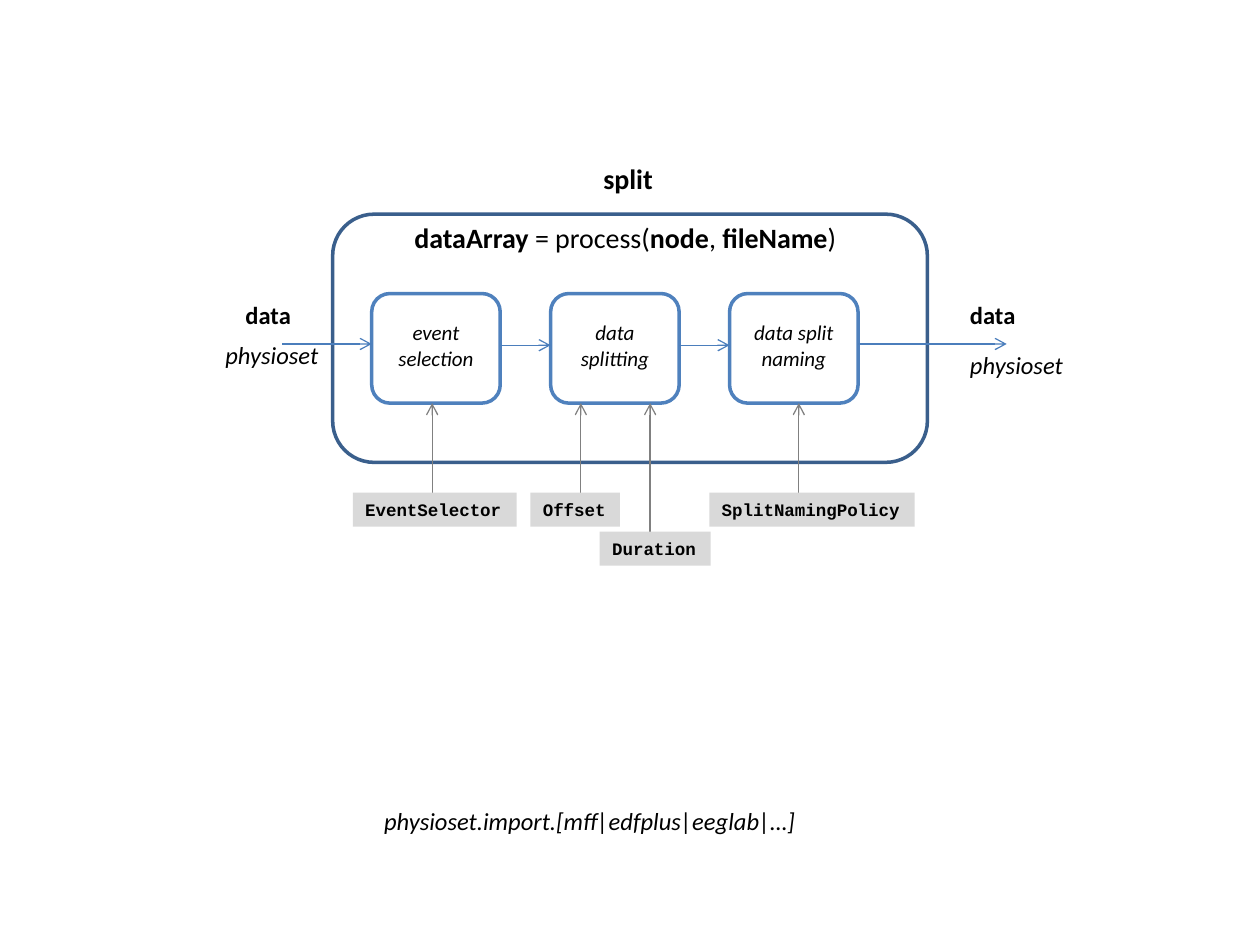
import pptx
import pptx.util
import pptx.dml.color
import pptx.enum.shapes
import pptx.enum.text
import pptx.oxml
import pptx.oxml.ns

COLUMNS, ROWS = 100, 75
CELL = pptx.util.Inches(0.1)
COLORS = {"text": "000000", "frame": "3A5F8C", "stage": "4F81BD", "flow": "4B7EBC",
          "input": "808080", "option": "D9D9D9", "white": "FFFFFF"}
SHAPES = pptx.enum.shapes.MSO_SHAPE
ALIGN = pptx.enum.text.PP_ALIGN
ANCHOR = pptx.enum.text.MSO_ANCHOR

STAGE_LEFT, STAGE_STEP, STAGE_TOP = 29.5, 14.2, 23.3
STAGE_W, STAGE_H = 10.2, 8.7
STAGE_BOTTOM = STAGE_TOP + STAGE_H
STAGES = ["event selection", "data splitting", "data split naming"]
OPTIONS = [("EventSelector", 28, 39.1, 13, 34.3),
           ("Offset", 42.1, 39.1, 7.1, 46.1),
           ("Duration", 47.6, 42.2, 8.8, 51.6),
           ("SplitNamingPolicy", 56.3, 39.1, 16.3, 63.4)]


def grid(*cells):
    return [round(c * CELL) for c in cells]


def rgb(name):
    return pptx.dml.color.RGBColor.from_string(COLORS[name])


def write(sp, parts, size=14, font="Calibri", italic=False, align=ALIGN.LEFT,
          anchor=ANCHOR.TOP, wrap=False):
    tf = sp.text_frame
    tf.word_wrap = wrap
    tf.vertical_anchor = anchor
    p = tf.paragraphs[0]
    p.alignment = align
    for text, bold in parts:
        r = p.add_run()
        r.text = text
        r.font.name, r.font.size = font, pptx.util.Pt(size)
        r.font.bold, r.font.italic = bold, italic
        r.font.color.rgb = rgb("text")


def add_label(s, text, x, y, w, h=3.4, bold=False, **style):
    sp = s.shapes.add_textbox(*grid(x, y, w, h))
    parts = [(text, bold)] if isinstance(text, str) else text
    write(sp, parts, **style)


def add_box(s, kind, x, y, w, h, fill=None, line=None):
    sp = s.shapes.add_shape(kind, *grid(x, y, w, h))
    sp.shadow.inherit = False
    if fill:
        sp.fill.solid()
        sp.fill.fore_color.rgb = rgb(fill)
    else:
        sp.fill.background()
    if line:
        sp.line.color.rgb = rgb(line)
        sp.line.width = pptx.util.Pt(2)
    else:
        sp.line.fill.background()
    return sp


def add_arrow(s, x1, y1, x2, y2, color):
    kind = pptx.enum.shapes.MSO_CONNECTOR.STRAIGHT
    sp = s.shapes.add_connector(kind, *grid(x1, y1, x2, y2))
    sp.line.color.rgb = rgb(color)
    sp.line.width = pptx.util.Pt(0.75)
    ns = pptx.oxml.ns.nsdecls("a")
    ln = sp.line._get_or_add_ln()
    ln.append(pptx.oxml.parse_xml(f'<a:tailEnd {ns} type="arrow"/>'))
    ln.addnext(pptx.oxml.parse_xml(f"<a:effectLst {ns}/>"))


def add_stage(s, index, text):
    x = STAGE_LEFT + index * STAGE_STEP
    add_box(s, SHAPES.ROUNDED_RECTANGLE, x, STAGE_TOP, STAGE_W, STAGE_H, "white", "stage")
    add_label(s, text, x, 24.9, STAGE_W, 5, size=12, italic=True,
              align=ALIGN.CENTER, wrap=True)


def add_option(s, text, x, y, w, arrow_x):
    add_arrow(s, arrow_x, y, arrow_x, STAGE_BOTTOM, "input")
    sp = add_box(s, SHAPES.RECTANGLE, x, y, w, 2.7, "option")
    write(sp, [(text, True)], size=10, font="Courier New", anchor=ANCHOR.MIDDLE)


def add_flow(s):
    starts = [22.4] + [STAGE_LEFT + i * STAGE_STEP + STAGE_W for i in range(len(STAGES))]
    ends = [STAGE_LEFT + i * STAGE_STEP for i in range(len(STAGES))] + [79.9]
    for start, end, y in zip(starts, ends, [27.3, 27.4, 27.4, 27.3]):
        add_arrow(s, start, y, end, y, "flow")


def main():
    prs = pptx.Presentation()
    prs.slide_width, prs.slide_height = grid(COLUMNS, ROWS)
    s = prs.slides.add_slide(prs.slide_layouts[6])

    add_label(s, "physioset.import.[mff|edfplus|eeglab|…]", 29.5, 63.5, 35.6, italic=True)
    add_box(s, SHAPES.ROUNDED_RECTANGLE, 26.4, 17, 47.2, 19.7, line="frame")
    add_label(s, "split", 46.9, 12.3, 6.4, 3.7, bold=True, size=16)
    signature = [("dataArray ", True), ("= process(", False), ("node", True),
                 (", ", False), ("fileName", True), (")", False)]
    add_label(s, signature, 31.9, 17, 36.1, 3.7, size=16)

    for index, text in enumerate(STAGES):
        add_stage(s, index, text)
    add_flow(s)
    for option in OPTIONS:
        add_option(s, *option)

    add_label(s, "data", 18.5, 23.3, 5.7, bold=True)
    add_label(s, "physioset", 16.9, 26.5, 10, italic=True)
    add_label(s, "data", 76, 23.3, 15, bold=True, wrap=True)
    add_label(s, "physioset", 76, 27.3, 10, italic=True)
    prs.save("out.pptx")


main()
